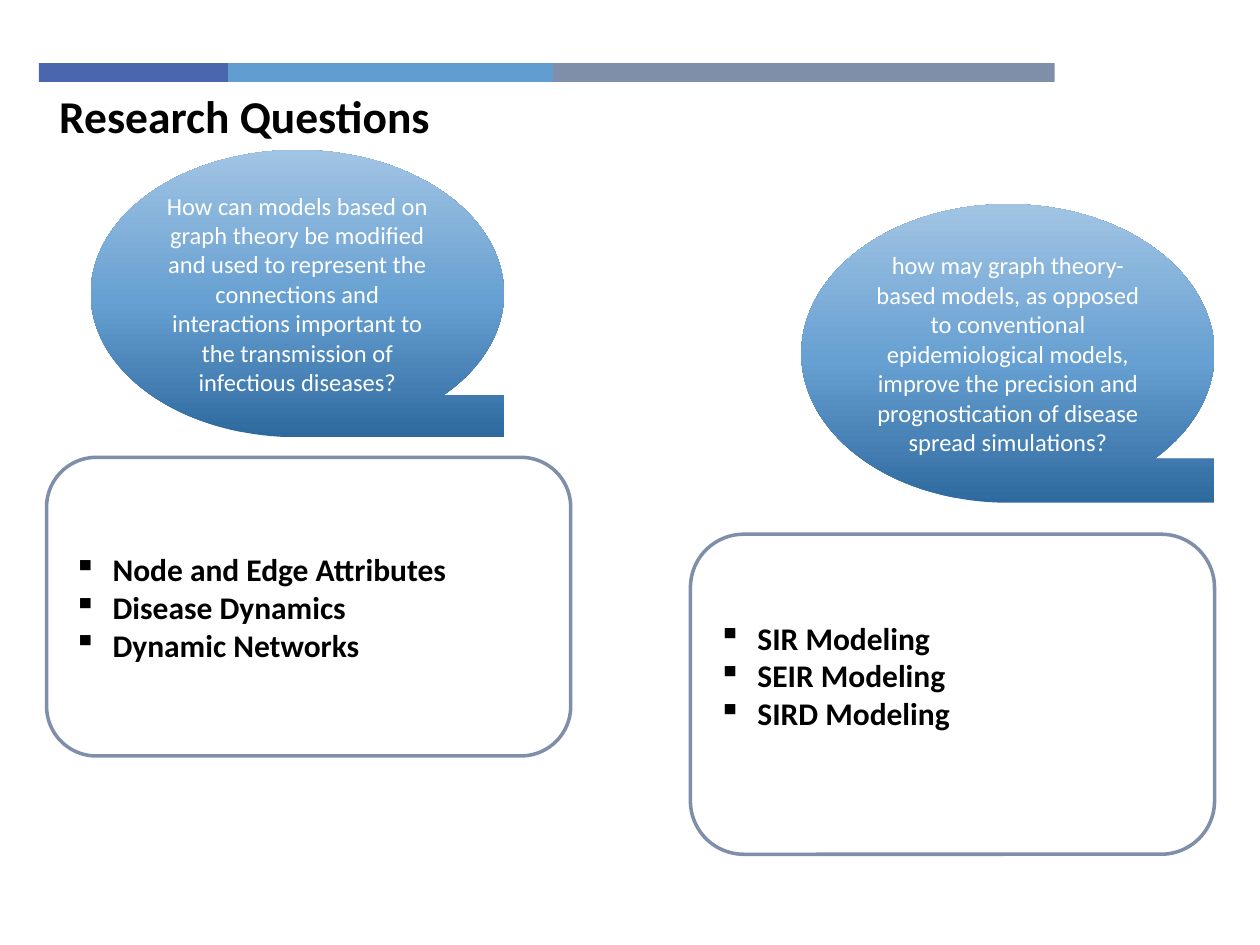
from copy import deepcopy
from dataclasses import dataclass

from lxml import etree
from pptx import Presentation
from pptx.dml.color import RGBColor
from pptx.enum.shapes import MSO_SHAPE
from pptx.enum.text import MSO_ANCHOR, PP_ALIGN
from pptx.oxml.ns import qn
from pptx.util import Pt

RECT, ROUNDED = MSO_SHAPE.RECTANGLE, MSO_SHAPE.ROUNDED_RECTANGLE
PROCESS, TAPE = MSO_SHAPE.FLOWCHART_ALTERNATE_PROCESS, MSO_SHAPE.FLOWCHART_SEQUENTIAL_ACCESS_STORAGE
LEFT, CENTER = PP_ALIGN.LEFT, PP_ALIGN.CENTER
TOP, MIDDLE = MSO_ANCHOR.TOP, MSO_ANCHOR.MIDDLE
PX = 9144  # 100 px to the inch


@dataclass(frozen=True)
class Theme:
    font: str = "Calibri"
    title_size: int = 26
    question_size: int = 14
    topic_size: int = 18
    ink: str = "000000"
    paper: str = "FFFFFF"
    border: str = "7F8FA9"
    bars: tuple = ("4A66AC", "629DD1", "7F8FA9")
    gradient: tuple = ((0, "2F6A9F"), (0.48, "67A0D2"), (1, "A1C4E3"))


T = Theme()


def add_run(p, text, size, color, bold=False):
    r = p.add_run()
    r.text = text
    r.font.name, r.font.size, r.font.bold = T.font, Pt(size), bold
    r.font.color.rgb = RGBColor.from_string(color)


def add_box(kind, x, y, w, h, fill=None):
    """Add a borderless, shadowless shape, with a solid fill if one is given."""
    s = slide.shapes.add_shape(kind, x * PX, y * PX, w * PX, h * PX)
    s.shadow.inherit = False
    s.line.fill.background()
    if fill:
        s.fill.solid()
        s.fill.fore_color.rgb = RGBColor.from_string(fill)
    s.text_frame.word_wrap = True
    s.text_frame.vertical_anchor = MIDDLE
    return s


prs = Presentation()
prs.slide_width, prs.slide_height = 1000 * PX, 750 * PX
slide = prs.slides.add_slide(prs.slide_layouts[5])

# Header bar
x = 31
for w, color in zip((150, 258, 398), T.bars):
    add_box(RECT, x, 50, w, 15, color)
    x += w

# Title
title = slide.shapes.title
title.left, title.top, title.width, title.height = 37 * PX, 65 * PX, 354 * PX, 54 * PX
tf = title.text_frame
tf.vertical_anchor = TOP
p = tf.paragraphs[0]
p.alignment = LEFT
add_run(p, "Research Questions", T.title_size, T.ink, bold=True)

# Question callouts
questions = [
    (72, 119, 228, "How can models based on graph theory be modified and used to represent "
     "the connections and interactions important to the transmission of infectious diseases?"),
    (636, 162, 237, "how may graph theory-based models, as opposed to conventional "
     "epidemiological models, improve the precision and prognostication of disease "
     "spread simulations?"),
]
for x, y, h, question in questions:
    s = add_box(TAPE, x, y, 328, h)
    s.fill.gradient()
    s.fill.gradient_angle = 90
    first_stop = s.fill.gradient_stops[0]._gs
    first_stop.addnext(deepcopy(first_stop))
    for stop, (position, color) in zip(s.fill.gradient_stops, T.gradient):
        stop.position = position
        stop.color.rgb = RGBColor.from_string(color)
    p = s.text_frame.paragraphs[0]
    p.alignment = CENTER
    add_run(p, question, T.question_size, T.paper)

# Topic boxes; a deeper bottom margin lifts the text in the second
topic_boxes = [
    (ROUNDED, 37, 363, 237, 5,
     ("Node and Edge Attributes", "Disease Dynamics", "Dynamic Networks")),
    (PROCESS, 548, 424, 254, 35,
     ("SIR Modeling", "SEIR Modeling", "SIRD Modeling")),
]
for kind, x, y, h, margin, topics in topic_boxes:
    s = add_box(kind, x, y, 416, h, T.paper)
    s.line.color.rgb = RGBColor.from_string(T.border)
    s.line.width = Pt(2)
    tf = s.text_frame
    tf.margin_bottom = margin * PX
    for i, topic in enumerate(topics):
        p = tf.add_paragraph() if i else tf.paragraphs[0]
        p.alignment = LEFT
        pPr = p._p.get_or_add_pPr()
        pPr.set("marL", str(31 * PX))
        pPr.set("indent", str(-31 * PX))
        etree.SubElement(pPr, qn("a:buChar")).set("char", "▪")
        add_run(p, topic, T.topic_size, T.ink, bold=True)

prs.save("out.pptx")
